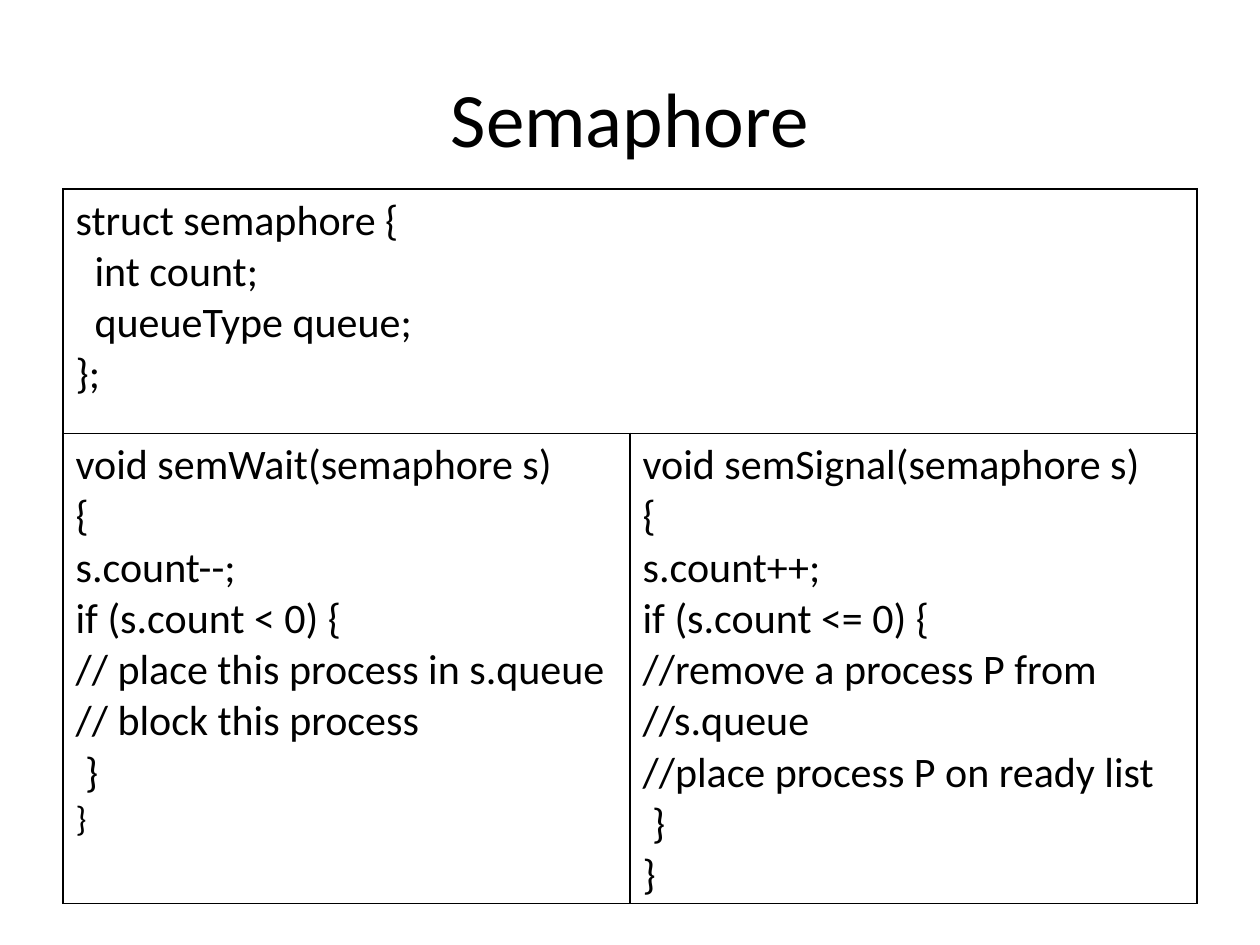
from lxml.etree import SubElement
from pptx import Presentation
from pptx.dml.color import RGBColor
from pptx.enum.text import MSO_ANCHOR, PP_ALIGN
from pptx.oxml.ns import qn
from pptx.util import Inches, Pt

COLORS = {"ink": "000000", "paper": "FFFFFF"}
FONT = {"name": "Calibri", "bold": False}
PLAIN = {"first_row": False, "horz_banding": False}

STRUCT = """struct semaphore {
  int count;
  queueType queue;
};"""
WAIT = """void semWait(semaphore s)
{
s.count--;
if (s.count < 0) {
// place this process in s.queue
// block this process
 }
}"""
SIGNAL = """void semSignal(semaphore s)
{
s.count++;
if (s.count <= 0) {
//remove a process P from //s.queue
//place process P on ready list
 }
}"""


def apply(item, values):
    for key, value in values.items():
        setattr(item, key, value)


def write(frame, text, size):
    frame.text = text
    for para in frame.paragraphs:
        for run in para.runs:
            apply(run.font, FONT | {"size": Pt(size)})
            run.font.color.rgb = RGBColor.from_string(COLORS["ink"])


def add_title(slide, box, text):
    frame = slide.shapes.add_textbox(*map(Inches, box)).text_frame
    apply(frame, {"word_wrap": True, "vertical_anchor": MSO_ANCHOR.MIDDLE})
    write(frame, text, 44)
    frame.paragraphs[0].alignment = PP_ALIGN.CENTER


def add_border(cell, width=1):
    """Rule all four sides; the lines must come before the cell's fill."""
    props = cell._tc.get_or_add_tcPr()
    for side in ("lnL", "lnR", "lnT", "lnB"):
        line = SubElement(props, qn(f"a:{side}"), w=str(Pt(width)))
        fill = SubElement(line, qn("a:solidFill"))
        SubElement(fill, qn("a:srgbClr"), val=COLORS["ink"])


def add_code(slide, box, heights):
    """Place the struct across the top, the two operations side by side below."""
    table = slide.shapes.add_table(2, 2, *map(Inches, box)).table
    apply(table, PLAIN)
    for row, height in zip(table.rows, heights):
        row.height = Inches(height)
    for col in table.columns:
        col.width = Inches(box[2] / 2)
    for cell in table.iter_cells():
        add_border(cell)
        cell.fill.solid()
        cell.fill.fore_color.rgb = RGBColor.from_string(COLORS["paper"])
    table.cell(0, 0).merge(table.cell(0, 1))
    for spot, text in {(0, 0): STRUCT, (1, 0): WAIT, (1, 1): SIGNAL}.items():
        write(table.cell(*spot).text_frame, text, 24)
    brace = table.cell(1, 0).text_frame.paragraphs[-1].runs[0]
    brace.font.size = Pt(20)


def main():
    deck = Presentation()
    apply(deck, {"slide_width": Inches(10), "slide_height": Inches(7.5)})
    slide = deck.slides.add_slide(deck.slide_layouts[6])
    add_title(slide, (0.5, 0.3, 9, 1.25), "Semaphore")
    add_code(slide, (0.5, 1.5, 9, 5.67), (1.94, 3.73))
    deck.save("out.pptx")


if __name__ == "__main__":
    main()
